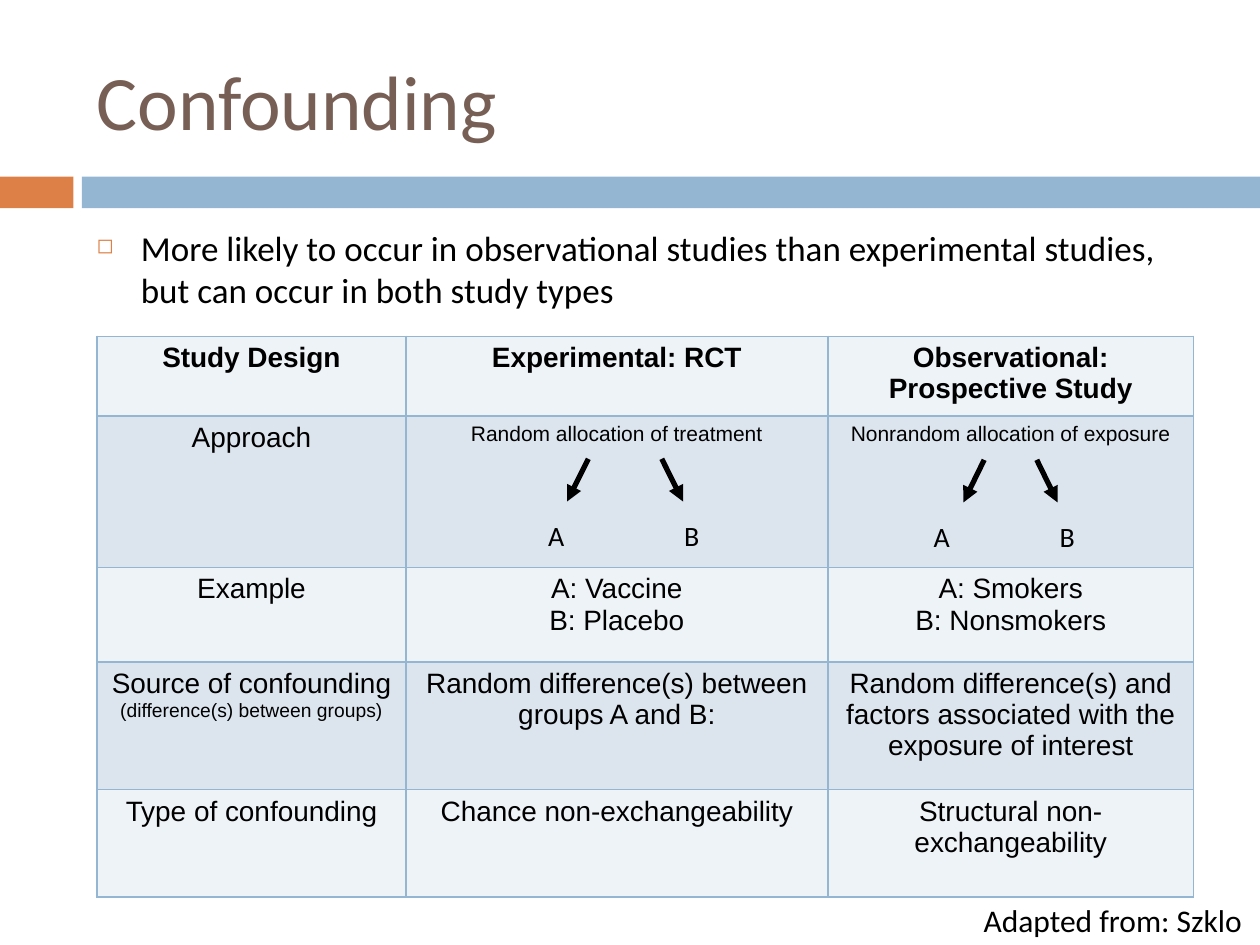
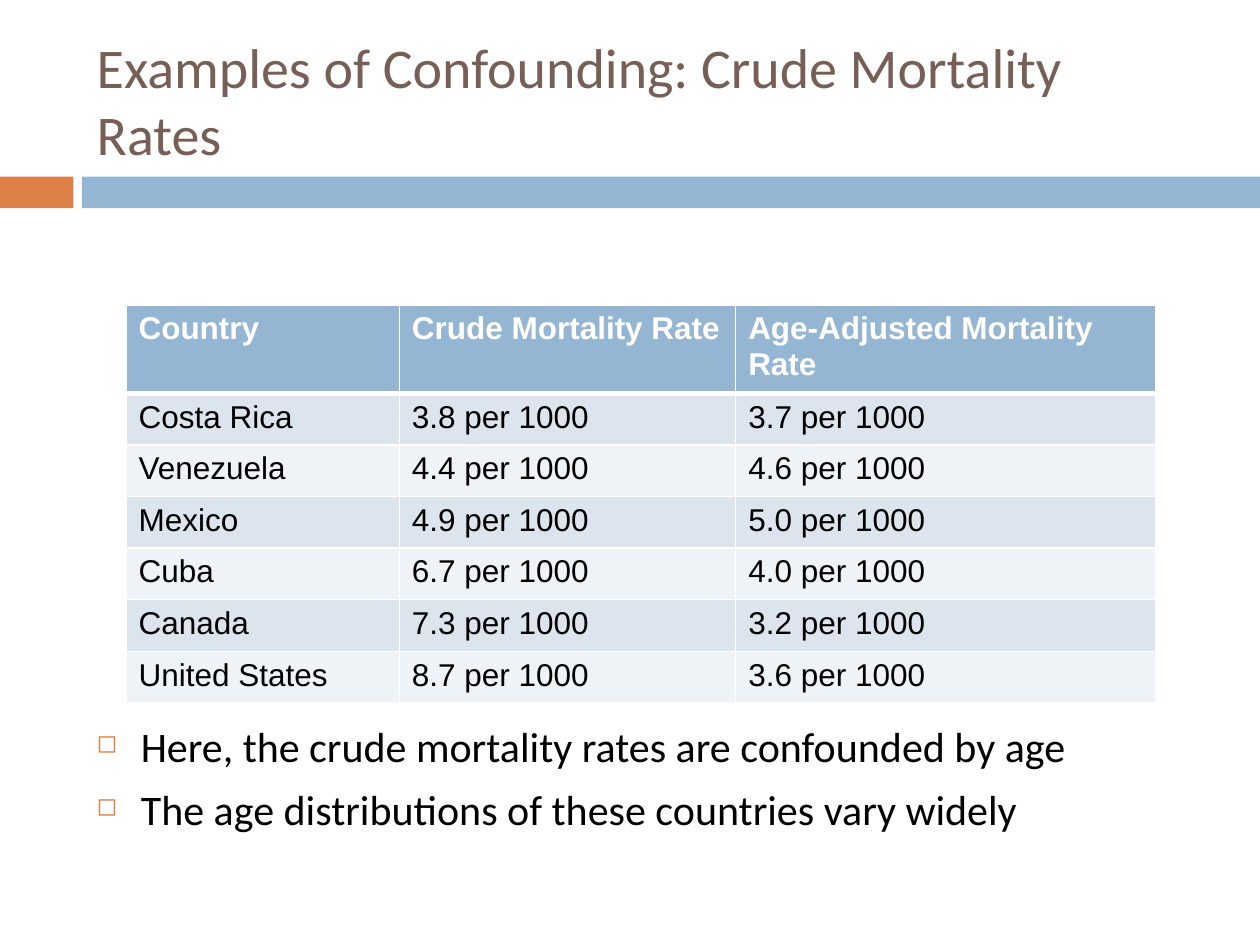
from lxml import etree
from pptx import Presentation
from pptx.dml.color import RGBColor
from pptx.enum.shapes import MSO_CONNECTOR, MSO_SHAPE
from pptx.enum.text import MSO_ANCHOR, MSO_AUTO_SIZE, PP_ALIGN
from pptx.oxml.ns import qn
from pptx.util import Cm, Pt

RECTANGLE = MSO_SHAPE.RECTANGLE
STRAIGHT = MSO_CONNECTOR.STRAIGHT
MIDDLE, TOP = MSO_ANCHOR.MIDDLE, MSO_ANCHOR.TOP
LEFT, CENTER = PP_ALIGN.LEFT, PP_ALIGN.CENTER
FIT_SHAPE = MSO_AUTO_SIZE.SHAPE_TO_FIT_TEXT

# Shared look
ORANGE, BLUE, BROWN = "DD8047", "94B6D2", "775F55"
BLACK, WHITE = "000000", "FFFFFF"
DARK_BAND, LIGHT_BAND = "DCE5EE", "EEF3F7"
TEXT_FONT, TABLE_FONT = "Calibri", "Arial"
SLIDE_WIDTH, SLIDE_HEIGHT = 25.4, 19.05
CONTENT_LEFT, CONTENT_WIDTH = 1.7, 22.66

# Content; a cell is a string, or a list of (text, size) runs
DESIGN_TITLE = "Confounding"
DESIGN_BULLETS = [
    "More likely to occur in observational studies than experimental studies, "
    "but can occur in both study types",
]
DESIGN_ROWS = [
    ["Study Design", "Experimental: RCT", "Observational: Prospective Study"],
    ["Approach", [("Random allocation of treatment", 12)],
     [("Nonrandom allocation of exposure", 12)]],
    ["Example", "A: Vaccine\nB: Placebo", "A: Smokers\nB: Nonsmokers"],
    [[("Source of confounding ", 16), ("(difference(s) between groups)", 11)],
     "Random difference(s) between groups A and B:",
     "Random difference(s) and factors associated with the exposure of interest"],
    ["Type of confounding", "Chance non-exchangeability",
     "Structural non-exchangeability"],
]
DESIGN_COLUMN_WIDTHS = [6.22, 8.51, 7.37]
DESIGN_ROW_HEIGHTS = [1.57, 3.05, 1.91, 2.57, 2.16]
DESIGN_CREDIT = "Adapted from: Szklo"

# Arrows run from center ± start to center ± end
ALLOCATIONS = [
    {"center": 12.6, "start": 0.74, "end": 1.17, "top": 9.25,
     "labels": {"A": 10.8, "B": 13.54}},
    {"center": 20.37, "start": 0.53, "end": 0.95, "top": 9.27,
     "labels": {"A": 18.57, "B": 21.11}},
]
ARROW_HEIGHT, LABEL_DROP = 0.86, 1.07

MORTALITY_TITLE = "Examples of Confounding: Crude Mortality Rates"
MORTALITY_HEADER = ["Country", "Crude Mortality Rate", "Age-Adjusted Mortality Rate"]
MORTALITY_RATES = [
    ("Costa Rica", 3.8, 3.7),
    ("Venezuela", 4.4, 4.6),
    ("Mexico", 4.9, 5.0),
    ("Cuba", 6.7, 4.0),
    ("Canada", 7.3, 3.2),
    ("United States", 8.7, 3.6),
]
MORTALITY_COLUMN_WIDTHS = [5.51, 6.78, 8.46]
MORTALITY_ROW_HEIGHT = 1.04
MORTALITY_BULLETS = [
    "Here, the crude mortality rates are confounded by age",
    "The age distributions of these countries vary widely",
]


def rgb(color):
    return RGBColor.from_string(color)


def add_element(parent, tag, **attributes):
    return etree.SubElement(parent, qn(tag), attributes)


def style_font(font, size, color, name=TEXT_FONT, bold=False):
    font.size, font.name, font.bold = Pt(size), name, bold
    font.color.rgb = rgb(color)


def add_text(slide, text, left, top, width, height, size,
             color=BLACK, anchor=TOP, wrap=True):
    box = slide.shapes.add_textbox(Cm(left), Cm(top), Cm(width), Cm(height))
    frame = box.text_frame
    frame.text = text
    frame.word_wrap = wrap
    frame.vertical_anchor = anchor
    if not wrap:
        frame.auto_size = FIT_SHAPE
    for paragraph in frame.paragraphs:
        for run in paragraph.runs:
            style_font(run.font, size, color)
    return box


def add_bullets(slide, bullets, top, height, size):
    box = add_text(slide, "\n".join(bullets), CONTENT_LEFT, top,
                   CONTENT_WIDTH, height, size)
    for index, paragraph in enumerate(box.text_frame.paragraphs):
        if index:
            paragraph.space_before = Pt(7)
        properties = paragraph._p.get_or_add_pPr()
        properties.set("marL", str(Cm(0.89)))
        properties.set("indent", str(-Cm(0.89)))
        bullet_color = add_element(properties, "a:buClr")
        add_element(bullet_color, "a:srgbClr", val=ORANGE)
        add_element(properties, "a:buSzPct", val="60000")
        add_element(properties, "a:buChar", char="◻")


def add_titled_slide(presentation, title, title_size):
    slide = presentation.slides.add_slide(presentation.slide_layouts[6])
    for left, right, color in [(0, 1.48, ORANGE), (1.65, SLIDE_WIDTH, BLUE)]:
        band = slide.shapes.add_shape(
            RECTANGLE, Cm(left), Cm(3.56), Cm(right - left), Cm(0.64))
        band.shadow.inherit = False
        band.fill.solid()
        band.fill.fore_color.rgb = rgb(color)
        band.line.fill.background()
    add_text(slide, title, CONTENT_LEFT, 0.64, CONTENT_WIDTH, 2.74,
             title_size, BROWN, MIDDLE)
    return slide


def set_borders(cell, color, top=1, bottom=1):
    properties = cell._tc.get_or_add_tcPr()
    for side, width in [("L", 1), ("R", 1), ("T", top), ("B", bottom)]:
        line = add_element(properties, f"a:ln{side}", w=str(Pt(width)))
        fill = add_element(line, "a:solidFill")
        add_element(fill, "a:srgbClr", val=color)


def fill_cell(cell, content, size, color, bold, alignment):
    frame = cell.text_frame
    if isinstance(content, str):
        frame.text = content
    else:
        for text, run_size in content:
            run = frame.paragraphs[0].add_run()
            run.text = text
            style_font(run.font, run_size, color, TABLE_FONT, bold)
    for paragraph in frame.paragraphs:
        paragraph.alignment = alignment
        if isinstance(content, str):
            style_font(paragraph.runs[0].font, size, color, TABLE_FONT, bold)


def add_table(slide, rows, left, top, widths, heights, size, alignment,
              bands, border, header_fill, header_color, header_rule):
    table = slide.shapes.add_table(
        len(rows), len(widths), Cm(left), Cm(top),
        Cm(sum(widths)), Cm(sum(heights))).table
    for column, width in zip(table.columns, widths):
        column.width = Cm(width)
    for row_index, row in enumerate(rows):
        table.rows[row_index].height = Cm(heights[row_index])
        is_header = row_index == 0
        for column_index, content in enumerate(row):
            cell = table.cell(row_index, column_index)
            set_borders(cell, border,
                        top=header_rule if row_index == 1 else 1,
                        bottom=header_rule if is_header else 1)
            cell.fill.solid()
            cell.fill.fore_color.rgb = rgb(
                header_fill if is_header else bands[row_index % 2])
            fill_cell(cell, content, size, header_color if is_header else BLACK,
                      is_header, alignment)


def add_arrow(slide, start_x, start_y, end_x, end_y):
    arrow = slide.shapes.add_connector(
        STRAIGHT, Cm(start_x), Cm(start_y), Cm(end_x), Cm(end_y))
    arrow.line.color.rgb = rgb(BLACK)
    arrow.line.width = Pt(3)
    add_element(arrow.line._get_or_add_ln(), "a:tailEnd", type="triangle")
    add_element(arrow._element.spPr, "a:effectLst")


def add_allocation(slide, allocation):
    top = allocation["top"]
    bottom = top + ARROW_HEIGHT
    for side in (-1, 1):
        add_arrow(slide, allocation["center"] + side * allocation["start"], top,
                  allocation["center"] + side * allocation["end"], bottom)
    for label, left in allocation["labels"].items():
        add_text(slide, label, left, top + LABEL_DROP, 0.84, 0.94, 16, wrap=False)


def build_design_slide(presentation):
    slide = add_titled_slide(presentation, DESIGN_TITLE, 44)
    add_bullets(slide, DESIGN_BULLETS, 4.45, 2.2, 20)
    add_table(slide, DESIGN_ROWS, 1.96, 6.78, DESIGN_COLUMN_WIDTHS,
              DESIGN_ROW_HEIGHTS, 16, CENTER, (LIGHT_BAND, DARK_BAND),
              border=BLUE, header_fill=LIGHT_BAND, header_color=BLACK,
              header_rule=1)
    add_text(slide, DESIGN_CREDIT, 19.58, 18.03, 5.82, 1.02, 18, wrap=False)
    for allocation in ALLOCATIONS:
        add_allocation(slide, allocation)


def build_mortality_slide(presentation):
    slide = add_titled_slide(presentation, MORTALITY_TITLE, 32)
    rows = [MORTALITY_HEADER] + [
        [country, f"{crude} per 1000", f"{adjusted} per 1000"]
        for country, crude, adjusted in MORTALITY_RATES]
    add_table(slide, rows, 2.54, 6.15, MORTALITY_COLUMN_WIDTHS,
              [MORTALITY_ROW_HEIGHT] * len(rows), 18, LEFT,
              (LIGHT_BAND, DARK_BAND), border=WHITE, header_fill=BLUE,
              header_color=WHITE, header_rule=3)
    add_bullets(slide, MORTALITY_BULLETS, 14.4, 3.18, 24)


def main():
    presentation = Presentation()
    presentation.slide_width = Cm(SLIDE_WIDTH)
    presentation.slide_height = Cm(SLIDE_HEIGHT)
    build_design_slide(presentation)
    build_mortality_slide(presentation)
    presentation.save("out.pptx")


if __name__ == "__main__":
    main()
